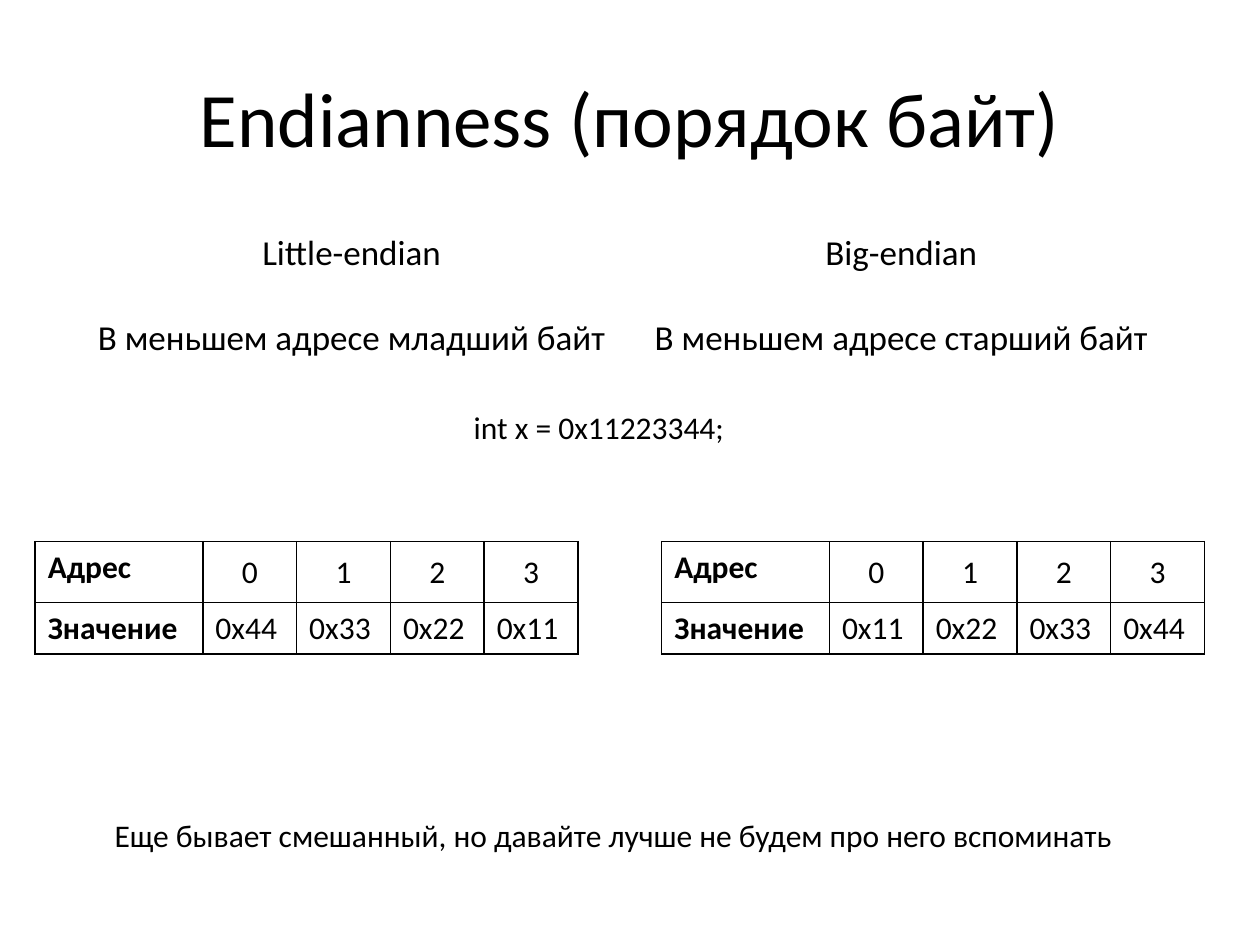
"""Build a slide that compares little-endian and big-endian byte order."""
from dataclasses import dataclass

from lxml.etree import SubElement
from pptx import Presentation
from pptx.dml.color import RGBColor
from pptx.enum.text import MSO_ANCHOR as Anchor, MSO_AUTO_SIZE as Fit, PP_ALIGN as Align
from pptx.oxml.ns import qn
from pptx.slide import Slide
from pptx.table import _Cell as Cell
from pptx.util import Cm, Pt

BLACK = RGBColor(0x00, 0x00, 0x00)
FONT = "Calibri"
HEAD_W, BYTE_W = 3.38, 1.89
ROWS = (1.23, 1.03)


@dataclass
class Note:
    lines: list[str]
    left: float
    top: float
    width: float
    height: float = 1.02
    size: int = 18
    align: Align = Align.LEFT


@dataclass
class Grid:
    left: float
    data: list[str]
    top: float = 10.92


NOTES = [
    Note(["Little-endian", "В меньшем адресе младший байт"],
         1.68, 4.52, 10.82, 2.82, 20, Align.CENTER),
    Note(["Big-endian", "В меньшем адресе старший байт"],
         12.9, 4.52, 10.54, 2.82, 20, Align.CENTER),
    Note(["int x = 0x11223344;"], 9.3, 8.1, 5.64),
    Note(["Еще бывает смешанный, но давайте лучше не будем про него вспоминать"],
         2.06, 16.33, 20.85),
]
BYTES = ["0x11", "0x22", "0x33", "0x44"]
GRIDS = [Grid(0.71, BYTES[::-1]), Grid(13.34, BYTES)]


def write(frame, lines: list[str], *, size: int = 18, bold: bool = False,
          align: Align = Align.LEFT, gap: float = 0) -> None:
    """Fill a text frame with one formatted paragraph per line."""
    for i, line in enumerate(lines):
        par = frame.add_paragraph() if i else frame.paragraphs[0]
        par.alignment = align
        if i:
            par.space_before = Pt(gap)
        run = par.add_run()
        run.text = line
        font = run.font
        font.name, font.size, font.bold = FONT, Pt(size), bold
        font.color.rgb = BLACK


def add_title(slide: Slide, text: str) -> None:
    """Place and format the title."""
    title = slide.shapes.title
    title.left, title.top = Cm(1.27), Cm(0.76)
    title.width, title.height = Cm(22.86), Cm(3.18)
    title.text_frame.vertical_anchor = Anchor.MIDDLE
    write(title.text_frame, [text], size=44, align=Align.CENTER)


def add_note(slide: Slide, note: Note) -> None:
    """Add a text box that does not wrap."""
    box = slide.shapes.add_textbox(
        Cm(note.left), Cm(note.top), Cm(note.width), Cm(note.height))
    frame = box.text_frame
    frame.word_wrap = False
    frame.auto_size = Fit.SHAPE_TO_FIT_TEXT
    write(frame, note.lines, size=note.size, align=note.align, gap=24.4)


def frame_cell(cell: Cell) -> None:
    """Give a cell thin black borders and no fill."""
    props = cell._tc.get_or_add_tcPr()
    for side in ("lnL", "lnR", "lnT", "lnB"):
        line = SubElement(props, qn(f"a:{side}"), w=str(Pt(1)))
        fill = SubElement(line, qn("a:solidFill"))
        SubElement(fill, qn("a:srgbClr"), val=str(BLACK))
    cell.fill.background()


def add_grid(slide: Slide, grid: Grid) -> None:
    """Add a table of addresses and byte values."""
    rows = [["Адрес", *map(str, range(len(grid.data)))], ["Значение", *grid.data]]
    wide = [HEAD_W] + [BYTE_W] * len(grid.data)
    table = slide.shapes.add_table(
        len(rows), len(wide), Cm(grid.left), Cm(grid.top),
        Cm(sum(wide)), Cm(sum(ROWS))).table
    table.first_row = table.horz_banding = False
    for col, width in zip(table.columns, wide):
        col.width = Cm(width)
    for r, texts in enumerate(rows):
        table.rows[r].height = Cm(ROWS[r])
        for c, text in enumerate(texts):
            cell = table.cell(r, c)
            frame_cell(cell)
            cell.vertical_anchor = Anchor.MIDDLE if c else Anchor.TOP
            write(cell.text_frame, [text], bold=c == 0,
                  align=Align.CENTER if c and r == 0 else Align.LEFT)


def main() -> None:
    """Build and save the slide."""
    deck = Presentation()
    deck.slide_width, deck.slide_height = Cm(25.4), Cm(19.05)
    slide = deck.slides.add_slide(deck.slide_layouts[5])
    add_title(slide, "Endianness (порядок байт)")
    for note in NOTES:
        add_note(slide, note)
    for grid in GRIDS:
        add_grid(slide, grid)
    deck.save("out.pptx")


if __name__ == "__main__":
    main()
